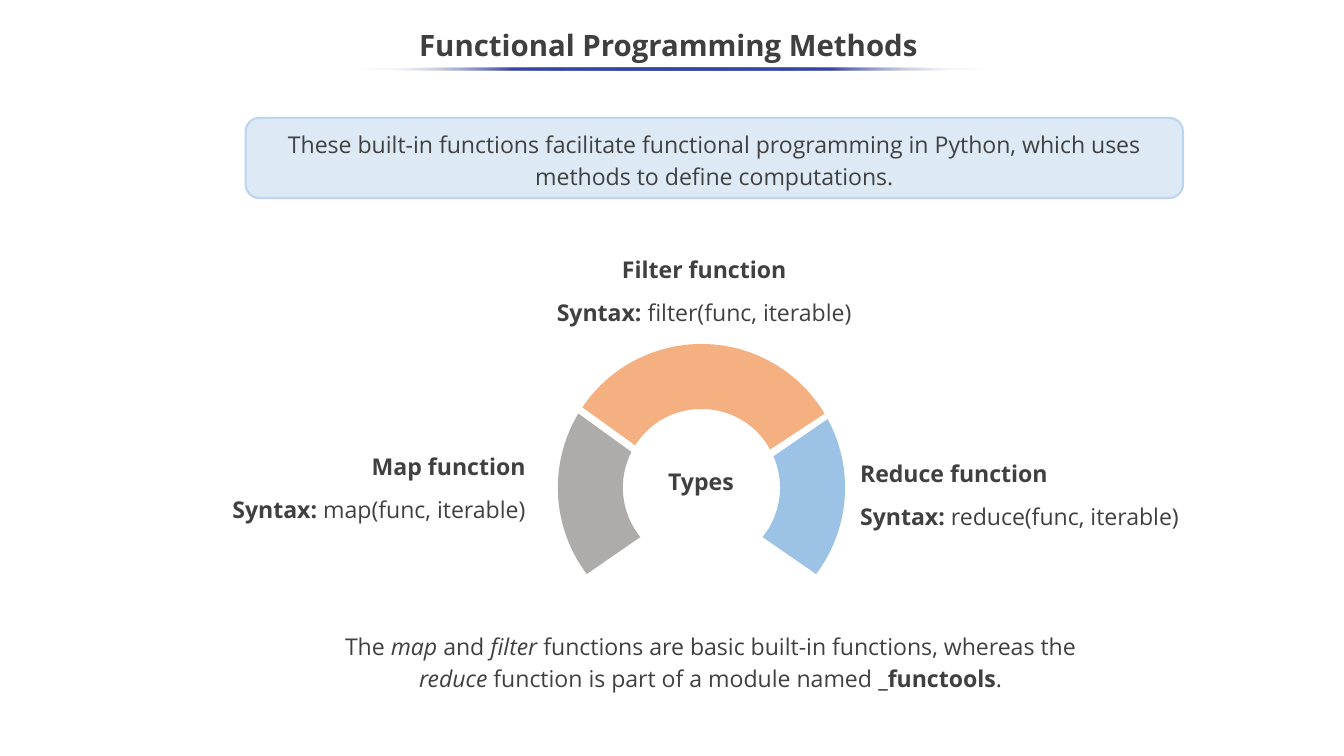
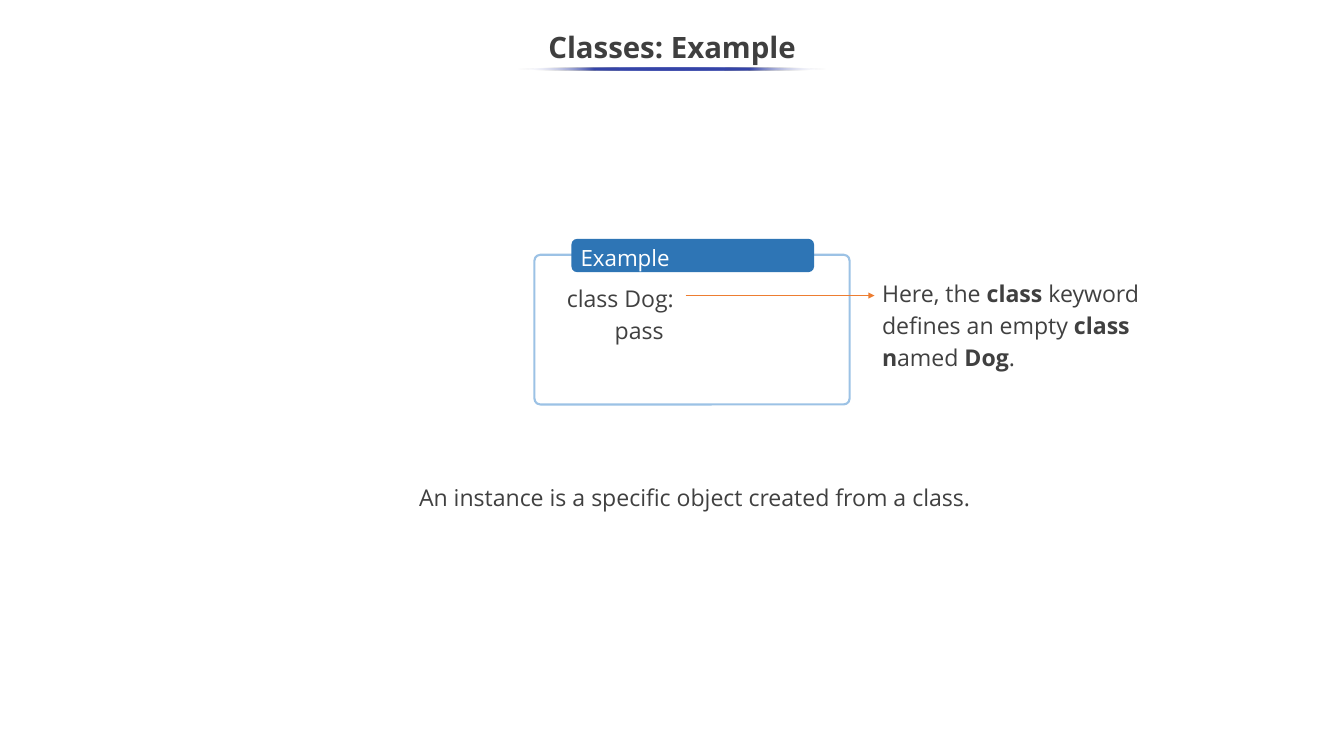
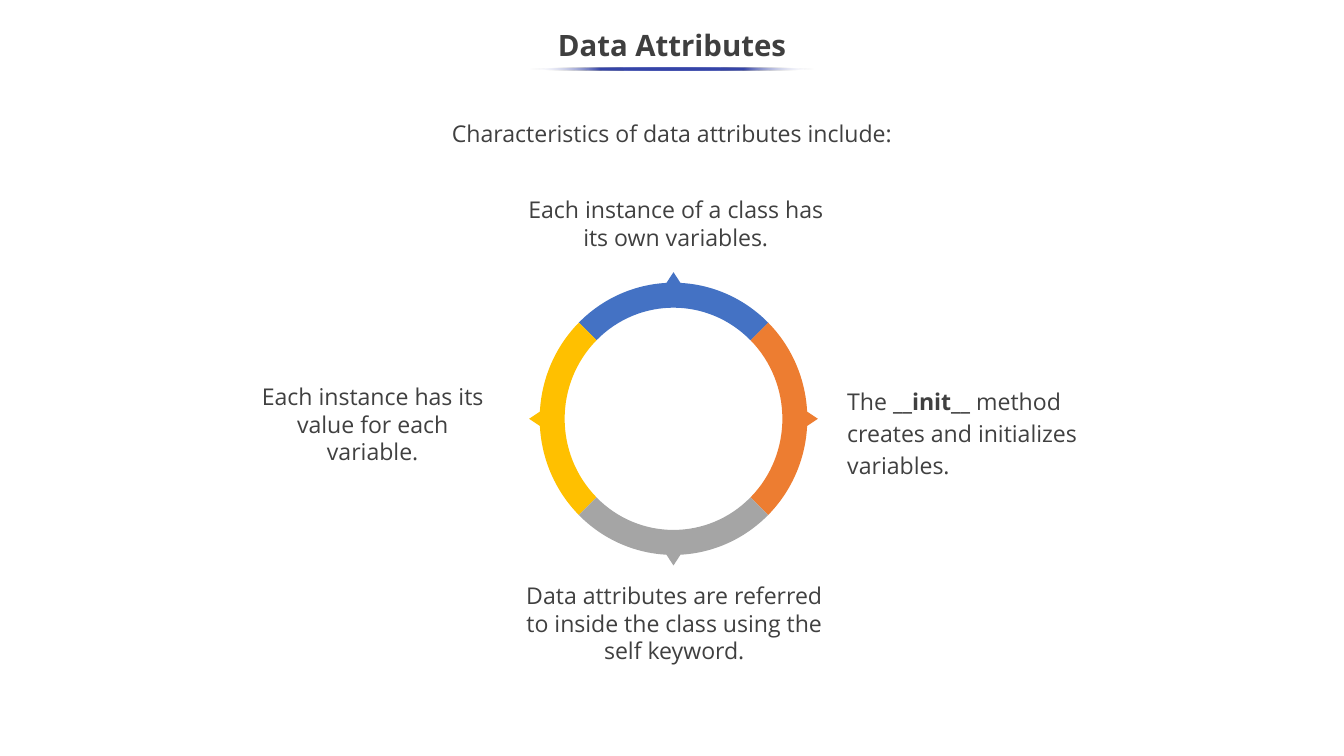
"""Build three slides on functional programming, classes and data attributes."""
import math

from pptx import Presentation
from pptx import util as u
from pptx.dml.color import RGBColor
from pptx.enum import shapes, text
from pptx.oxml import ns, parse_xml

PX = u.Inches(1) // 100
WIDTH, HEIGHT = 1778, 1000
FONT = "Open Sans"
COLORS = {
    "title": "3F3F3F", "body": "404040", "white": "FFFFFF", "rule": "3645A9",
    "callout": "DDEAF6", "callout_edge": "BBD6EE", "label": "2E75B5",
    "sky": "9CC2E5", "peach": "F4B081", "stone": "AEABAB",
    "blue": "4472C4", "orange": "ED7D31", "gray": "A5A5A5", "gold": "FFC000",
}
ALIGN = {"l": text.PP_ALIGN.LEFT, "c": text.PP_ALIGN.CENTER, "r": text.PP_ALIGN.RIGHT}

TITLES = [
    {"title": "Functional Programming Methods ", "top": 25, "rule": (469, 839)},
    {"title": "Classes: Example", "top": 27, "rule": (685, 409)},
    {"title": "Data Attributes", "top": 25, "rule": (700, 377)},
]

CALLOUT = ("These built-in functions facilitate functional programming in Python, "
           "which uses methods to define computations.")
FUNCTIONS = [
    {"name": "Filter", "call": "filter(func, iterable)", "area": (644, 328, 575, 169),
     "align": "c", "color": "peach", "outer": (31, 146), "inner": (29, 147.5)},
    {"name": "Map", "call": "map(func, iterable)", "area": (104, 588, 601, 169),
     "align": "r", "color": "stone", "outer": (149, 217), "inner": (153, 219)},
    {"name": "Reduce", "call": "reduce(func, iterable)", "area": (1128, 597, 445, 169),
     "align": "l", "color": "sky", "outer": (-37, 28.5), "inner": (-39, 23.5)},
]
GAUGE = {"center": (928, 645), "outer": (190, 190), "inner": (104, 104)}
MODULE_NOTE = [
    ("The", ""), (" map", "i"), (" and ", ""), ("filter", "i"),
    (" functions are basic built-in functions, whereas the ", ""), ("reduce ", "i"),
    ("function is part of a module named ", ""), ("_functools", "b"), (".", ""),
]

DOG_CODE = ["class Dog:", "        pass"]
DOG_NOTE = [
    ("Here, the ", ""), ("class", "b"), (" keyword defines an empty ", ""),
    ("class n", "b"), ("amed ", ""), ("Dog", "b"), (".", ""),
]
INSTANCE_NOTE = "An instance is a specific object created from a class."

INTRO = "Characteristics of data attributes include:"
INIT_NOTE = [("The ", ""), ("__init__ ", "b"), ("method creates and initializes variables.", "")]
TRAITS = [
    {"text": INIT_NOTE, "area": (1111, 502, 348, 138), "color": "orange",
     "align": "l", "spacing": 1.15},
    {"text": "Each instance of a class has its own variables.",
     "area": (670, 254, 448, 84), "color": "blue"},
    {"text": "Each instance has its value for each variable.",
     "area": (319, 501, 348, 121), "color": "gold"},
    {"text": "Data attributes are referred to inside the class using the self keyword.",
     "area": (679, 764, 426, 121), "color": "gray"},
]
RING = {"center": (891, 554), "outer": (177, 180), "inner": (144, 147)}
TIP_HEIGHT, TIP_ANGLE = 14, 3


def rgb(name):
    return RGBColor.from_string(COLORS[name])


def emu(*lengths):
    return [length * PX for length in lengths]


def write(box, paragraphs, size=22, color="body", bold=False, align="c",
          spacing=1.15, gap=0, anchor=text.MSO_ANCHOR.TOP):
    frame = box.text_frame
    frame.word_wrap = True
    frame.vertical_anchor = anchor
    for index, spans in enumerate(paragraphs):
        para = frame.paragraphs[0] if index == 0 else frame.add_paragraph()
        para.alignment = ALIGN[align]
        para.line_spacing = spacing
        para.space_before = u.Pt(gap if index else 0)
        for content, style in [(spans, "")] if isinstance(spans, str) else spans:
            span = para.add_run()
            span.text = content
            span.font.name = FONT
            span.font.size = u.Pt(size)
            span.font.color.rgb = rgb(color)
            span.font.bold = bold or style == "b"
            span.font.italic = style == "i"
    return box


def add_text(page, area, paragraphs, **formatting):
    box = page.shapes.add_textbox(*emu(*area))
    write(box, paragraphs, **formatting)
    box.text_frame.auto_size = text.MSO_AUTO_SIZE.SHAPE_TO_FIT_TEXT
    return box


def paint(shape, fill=None, line=None):
    shape.shadow.inherit = False
    if fill:
        shape.fill.solid()
        shape.fill.fore_color.rgb = rgb(fill)
    else:
        shape.fill.background()
    if line:
        shape.line.color.rgb = rgb(line)
        shape.line.width = u.Pt(2)
    else:
        shape.line.fill.background()
    return shape


def add_panel(page, area, radius, fill=None, line=None):
    panel = page.shapes.add_shape(shapes.MSO_SHAPE.ROUNDED_RECTANGLE, *emu(*area))
    panel.adjustments[0] = radius
    return paint(panel, fill, line)


def add_rule(page, left, width):
    rule = page.shapes.add_shape(shapes.MSO_SHAPE.OVAL, *emu(left, 89, width, 4))
    paint(rule)
    clear = f'<a:srgbClr val="{COLORS["white"]}"><a:alpha val="0"/></a:srgbClr>'
    solid = f'<a:srgbClr val="{COLORS["rule"]}"/>'
    stops = "".join(f'<a:gs pos="{percent * 1000}">{clear if percent in (0, 100) else solid}</a:gs>'
                    for percent in range(0, 101, 25))
    gradient = parse_xml(f'<a:gradFill {ns.nsdecls("a")}><a:gsLst>{stops}</a:gsLst>'
                         '<a:lin ang="10800000" scaled="0"/></a:gradFill>')
    properties = rule._element.spPr
    properties.replace(properties.find(ns.qn("a:noFill")), gradient)


def polar(center, radii, degrees, slope=0):
    angle = math.radians(degrees)
    across = math.cos(angle) - slope * math.sin(angle)
    up = math.sin(angle) + slope * math.cos(angle)
    return (round((center[0] + radii[0] * across) * PX),
            round((center[1] - radii[1] * up) * PX))


def curve(center, radii, start, end):
    pull = 4 / 3 * math.tan(math.radians(end - start) / 4)
    return [polar(center, radii, start, pull), polar(center, radii, end, -pull),
            polar(center, radii, end)]


def add_segment(page, ring, outer, inner, color, tip=False):
    center, middle = ring["center"], sum(outer) / 2
    half = TIP_ANGLE if tip else 0
    steps = [[polar(center, ring["outer"], outer[0])],
             curve(center, ring["outer"], outer[0], middle - half)]
    if tip:
        peak = [radius + TIP_HEIGHT for radius in ring["outer"]]
        steps += [[polar(center, peak, middle)], [polar(center, ring["outer"], middle + half)]]
    steps += [curve(center, ring["outer"], middle + half, outer[1]),
              [polar(center, ring["inner"], inner[1])],
              curve(center, ring["inner"], inner[1], inner[0])]
    outline = page.shapes.build_freeform(*steps[0][-1], scale=1)
    outline.add_line_segments([step[-1] for step in steps[1:]], close=True)
    segment = paint(outline.convert_to_shape(), color)
    lines = list(segment._element.iter(ns.qn("a:lnTo")))
    for line, step in zip(lines, steps[1:]):
        if len(step) == 3:
            points = "".join(f'<a:pt x="{x - segment.left}" y="{y - segment.top}"/>'
                             for x, y in step)
            bend = parse_xml(f'<a:cubicBezTo {ns.nsdecls("a")}>{points}</a:cubicBezTo>')
            line.getparent().replace(line, bend)


def add_arrow(page, start, end, color):
    arrow = page.shapes.add_connector(shapes.MSO_CONNECTOR.STRAIGHT, *emu(*start, *end))
    arrow.line.color.rgb = rgb(color)
    arrow.line.width = u.Pt(0.75)
    arrow.line._get_or_add_ln().append(parse_xml(f'<a:tailEnd {ns.nsdecls("a")} type="triangle"/>'))
    arrow._element.spPr.append(parse_xml(f'<a:effectLst {ns.nsdecls("a")}/>'))


def add_page(deck, heading):
    page = deck.slides.add_slide(deck.slide_layouts[5])
    title = page.shapes.title
    title.left, title.top, title.width, title.height = emu(-1, heading["top"], 1780, 75)
    write(title, [heading["title"]], size=28, color="title", bold=True, spacing=0.9,
          anchor=text.MSO_ANCHOR.MIDDLE)
    title.text_frame.auto_size = text.MSO_AUTO_SIZE.NONE
    return page


def fill_functions(page):
    callout = add_panel(page, (325, 156, 1240, 106), 0.17, "callout", "callout_edge")
    write(callout, [CALLOUT], anchor=text.MSO_ANCHOR.MIDDLE)
    for function in FUNCTIONS:
        add_segment(page, GAUGE, function["outer"], function["inner"], function["color"])
    for function in reversed(FUNCTIONS):
        add_text(page, function["area"],
                 [[(f'{function["name"]} function', "b")],
                  [("Syntax: ", "b"), (function["call"], "")]],
                 align=function["align"], gap=10.7)
    add_text(page, (874, 608, 109, 53), ["Types"], bold=True, align="l")
    add_text(page, (417, 826, 1046, 95), [MODULE_NOTE])


def fill_classes(page):
    add_text(page, (454, 629, 930, 53), [INSTANCE_NOTE])
    add_panel(page, (707, 337, 417, 198), 0.04, line="sky")
    label = add_panel(page, (756, 316, 321, 44), 0.17, "label")
    write(label, ["Example"], size=21.3, color="white", align="l", spacing=1.0)
    add_text(page, (740, 366, 235, 95), DOG_CODE, align="l")
    add_text(page, (1157, 359, 370, 138), [DOG_NOTE], align="l")
    add_arrow(page, (907, 391), (1157, 391), "orange")


def fill_attributes(page):
    for index, trait in enumerate(TRAITS):
        sweep = (90 * index - 45, 90 * index + 45)
        add_segment(page, RING, sweep, sweep, trait["color"], tip=True)
        add_text(page, trait["area"], [trait["text"]],
                 align=trait.get("align", "c"), spacing=trait.get("spacing", 1.0))
    add_text(page, (466, 153, 846, 47), [INTRO], spacing=1.0)


def main():
    deck = Presentation()
    deck.slide_width, deck.slide_height = emu(WIDTH, HEIGHT)
    for heading, fill_page in zip(TITLES, (fill_functions, fill_classes, fill_attributes)):
        page = add_page(deck, heading)
        fill_page(page)
        add_rule(page, *heading["rule"])
    deck.save("out.pptx")


if __name__ == "__main__":
    main()
